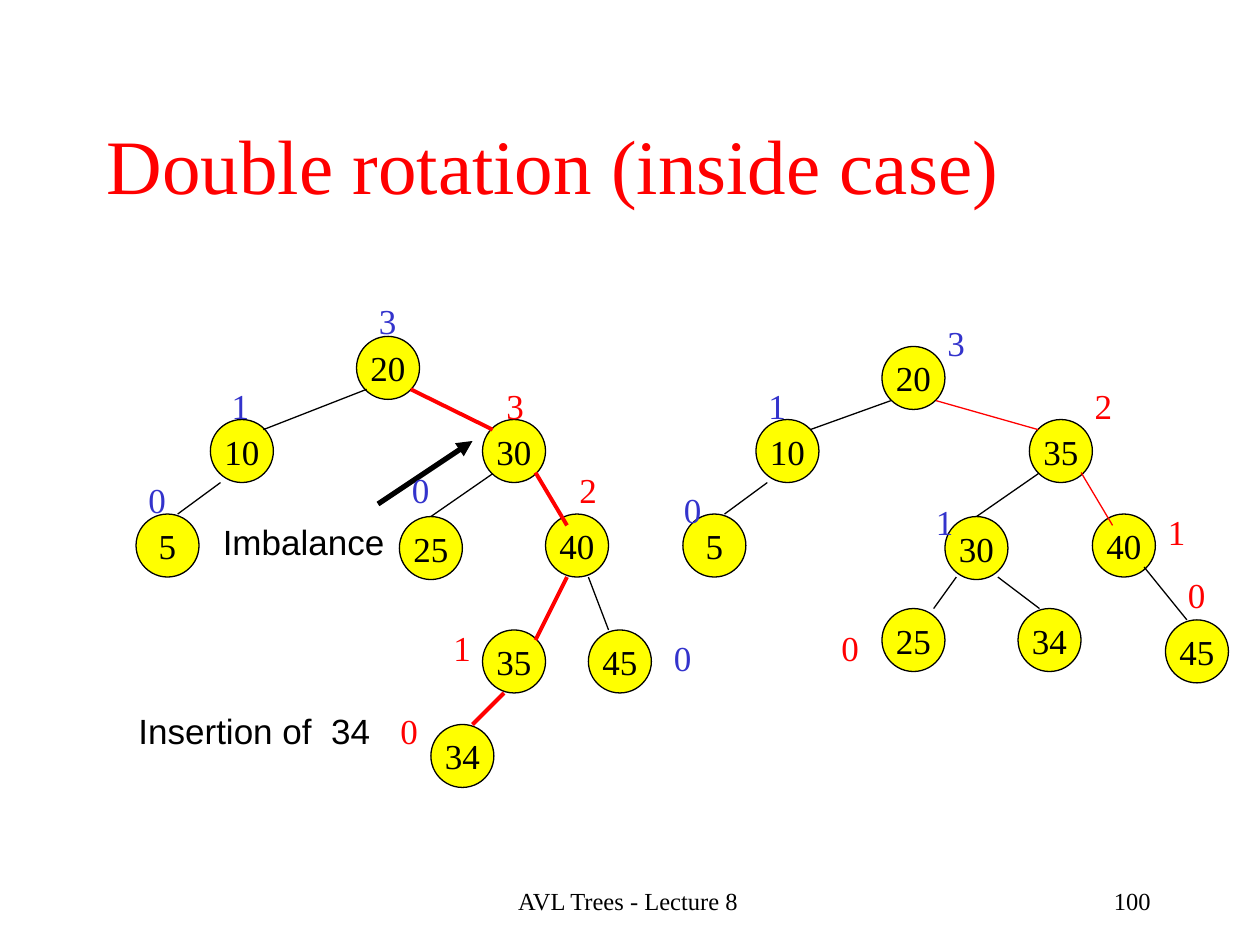
import lxml.etree
import pptx
import pptx.dml.color
import pptx.enum.shapes
import pptx.enum.text
import pptx.oxml.ns
import pptx.util

Inches = pptx.util.Inches
Pt = pptx.util.Pt
ALIGN = pptx.enum.text.PP_ALIGN
ANCHOR = pptx.enum.text.MSO_ANCHOR
SERIF = "Times New Roman"
BLACK, RED, BLUE, YELLOW = "000000", "FF0000", "3333CC", "FFFF00"
NODE_SIZE = 0.5


def color(value):
    return pptx.dml.color.RGBColor.from_string(value)


def write(shape, text, size=20, font=SERIF, ink=BLACK, align=ALIGN.LEFT, anchor=ANCHOR.TOP, wrap=True):
    frame = shape.text_frame
    frame.text = text
    frame.word_wrap = wrap
    frame.vertical_anchor = anchor
    paragraph = frame.paragraphs[0]
    paragraph.alignment = align
    run_font = paragraph.runs[0].font
    run_font.size = Pt(size)
    run_font.name = font
    run_font.color.rgb = color(ink)


presentation = pptx.Presentation()
presentation.slide_width = Inches(10)
presentation.slide_height = Inches(7.5)
slide = presentation.slides.add_slide(presentation.slide_layouts[6])

captions = [
    ("Double rotation (inside case)", 0.75, 0.67, 8.5, 1.25, 44, SERIF, RED, ALIGN.LEFT, ANCHOR.MIDDLE),
    ("AVL Trees - Lecture 8", 3.4, 6.98, 3.17, 0.5, 14, SERIF, BLACK, ALIGN.CENTER, ANCHOR.TOP),
    ("100", 7.15, 6.98, 2.08, 0.5, 14, SERIF, BLACK, ALIGN.RIGHT, ANCHOR.TOP),
    ("Imbalance", 1.67, 4.08, 1.5, 0.44, 20, "Arial", BLACK, ALIGN.LEFT, ANCHOR.TOP),
    ("Insertion of  34", 1, 5.58, 2.08, 0.44, 20, "Arial", BLACK, ALIGN.LEFT, ANCHOR.TOP),
]
for text, left, top, width, height, size, font, ink, align, anchor in captions:
    caption = slide.shapes.add_textbox(Inches(left), Inches(top), Inches(width), Inches(height))
    write(caption, text, size, font, ink, align, anchor)

tree_before = [
    ("20", 2.83, 2.67), ("10", 1.67, 3.33), ("30", 3.83, 3.33), ("5", 1.08, 4.08), ("25", 3.17, 4.1),
    ("40", 4.33, 4.08), ("35", 3.83, 5), ("45", 4.67, 5), ("34", 3.42, 5.75),
]
tree_after = [
    ("20", 7, 2.75), ("10", 6, 3.33), ("35", 8.17, 3.33), ("5", 5.42, 4.08), ("30", 7.5, 4.1),
    ("40", 8.67, 4.08), ("25", 7, 4.83), ("34", 8.08, 4.83), ("45", 9.25, 4.92),
]
for key, left, top in tree_before + tree_after:
    node = slide.shapes.add_shape(
        pptx.enum.shapes.MSO_SHAPE.OVAL, Inches(left), Inches(top), Inches(NODE_SIZE), Inches(NODE_SIZE)
    )
    node.shadow.inherit = False
    node.fill.solid()
    node.fill.fore_color.rgb = color(YELLOW)
    node.line.color.rgb = color(BLACK)
    node.line.width = Pt(0.75)
    write(node, key, align=ALIGN.CENTER, anchor=ANCHOR.MIDDLE, wrap=False)

lines = [
    (2.91, 3.09, 2.09, 3.41, BLACK, 0.75),
    (3.26, 3.09, 3.91, 3.41, RED, 2.25),
    (3.91, 3.76, 3.42, 4.1, BLACK, 0.75),
    (4.25, 3.75, 4.5, 4.17, RED, 2.25),
    (1.75, 3.83, 1.41, 4.08, BLACK, 0.75),
    (4.67, 4.58, 4.83, 5, BLACK, 0.75),
    (4.5, 4.58, 4.25, 5.08, RED, 2.25),
    (4, 5.5, 3.75, 5.75, RED, 2.25),
    (7.07, 3.18, 6.43, 3.41, BLACK, 0.75),
    (7.43, 3.18, 8.24, 3.41, RED, 0.75),
    (8.24, 3.76, 7.75, 4.1, BLACK, 0.75),
    (8.58, 3.75, 8.83, 4.17, RED, 0.75),
    (6.09, 3.83, 5.75, 4.08, BLACK, 0.75),
    (9.08, 4.5, 9.42, 4.92, BLACK, 0.75),
    (7.59, 4.58, 7.41, 4.83, BLACK, 0.75),
    (7.92, 4.58, 8.25, 4.83, BLACK, 0.75),
    (3, 4, 3.75, 3.5, BLACK, 3),
]
for x1, y1, x2, y2, ink, width in lines:
    connector = slide.shapes.add_connector(
        pptx.enum.shapes.MSO_CONNECTOR.STRAIGHT, Inches(x1), Inches(y1), Inches(x2), Inches(y2)
    )
    connector.line.color.rgb = color(ink)
    connector.line.width = Pt(width)
    lxml.etree.SubElement(connector._element.spPr, pptx.oxml.ns.qn("a:effectLst"))
imbalance_arrow = connector
lxml.etree.SubElement(imbalance_arrow.line._get_or_add_ln(), pptx.oxml.ns.qn("a:tailEnd"), type="triangle")

heights = [
    ("3", 2.91, 2.33, BLUE), ("1", 1.74, 3, BLUE), ("3", 3.92, 3, RED), ("0", 1.08, 3.75, BLUE),
    ("0", 3.17, 3.67, BLUE), ("2", 4.5, 3.67, RED), ("1", 3.5, 4.92, RED), ("0", 5.25, 5, BLUE),
    ("0", 3.08, 5.58, RED), ("3", 7.42, 2.5, BLUE), ("1", 6, 3, BLUE), ("2", 8.59, 3, RED),
    ("0", 5.33, 3.83, BLUE), ("1", 7.33, 3.92, BLUE), ("1", 9.17, 4, RED), ("0", 9.33, 4.5, RED),
    ("0", 6.58, 4.92, RED),
]
for height, left, top, ink in heights:
    label = slide.shapes.add_textbox(Inches(left), Inches(top), Inches(0.34), Inches(0.44))
    write(label, height, ink=ink, wrap=False)

presentation.save("out.pptx")
